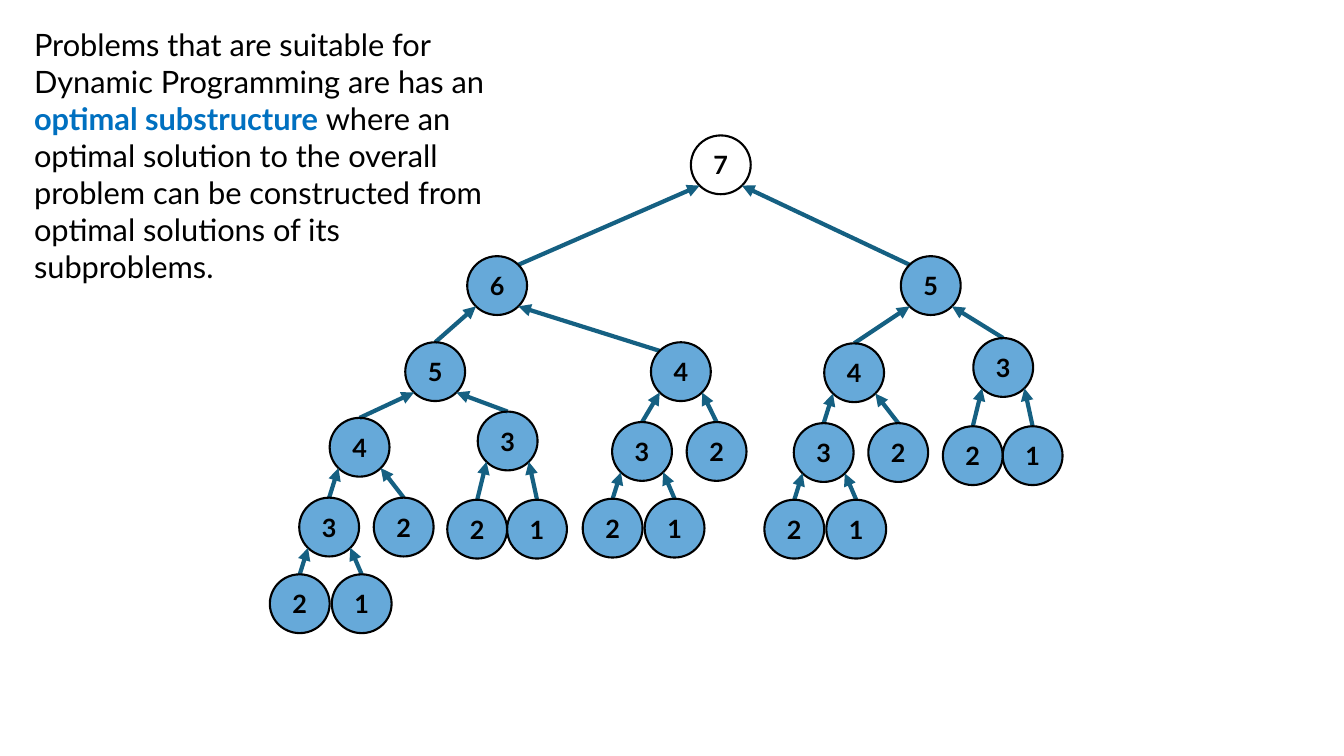
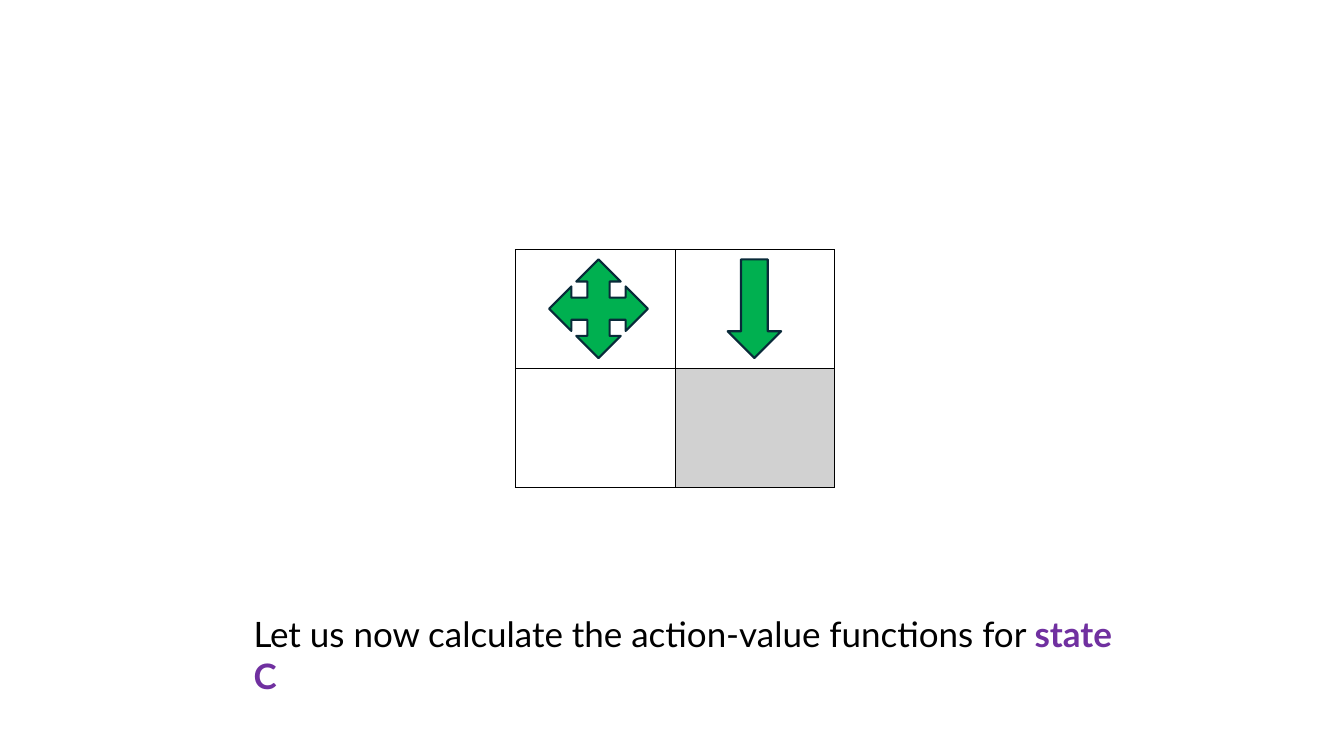
from dataclasses import dataclass
from math import sqrt

from lxml import etree
from pptx import Presentation
from pptx.dml.color import RGBColor
from pptx.enum.shapes import MSO_CONNECTOR, MSO_SHAPE
from pptx.enum.text import MSO_ANCHOR, MSO_AUTO_SIZE, PP_ALIGN
from pptx.oxml.ns import qn
from pptx.util import Emu, Pt

STRAIGHT = MSO_CONNECTOR.STRAIGHT
ELLIPSE, QUAD_ARROW, DOWN_ARROW = MSO_SHAPE.OVAL, MSO_SHAPE.QUAD_ARROW, MSO_SHAPE.DOWN_ARROW
MIDDLE = MSO_ANCHOR.MIDDLE
GROW = MSO_AUTO_SIZE.SHAPE_TO_FIT_TEXT
LEFT, CENTER = PP_ALIGN.LEFT, PP_ALIGN.CENTER

EMU_PER_PX = 9525
SLIDE_WIDTH, SLIDE_HEIGHT = 1280, 720
FONT = "Lato"
COLORS = {
    "black": "000000",
    "white": "FFFFFF",
    "blue": "0070C0",
    "purple": "7030A0",
    "edge": "156082",
    "green": "00B050",
    "arrow_line": "092A39",
    "gray": "D1D1D1",
}

NODE_WIDTH, NODE_HEIGHT = 57, 56
NODE_OPACITY = 60
WIDE_REACH = 150


@dataclass(frozen=True)
class Node:
    """A tree node, placed relative to its parent (the root: to the slide)."""
    value: int
    dx: int
    dy: int
    children: tuple["Node", ...] = ()


@dataclass(frozen=True)
class Run:
    text: str
    color: str = "black"
    bold: bool = False


@dataclass(frozen=True)
class Arrow:
    kind: int
    x: int
    y: int
    width: int
    height: int


def three(dx: int, dy: int, left: int = -29, right: int = 28, drop: int = 84) -> Node:
    return Node(3, dx, dy, (Node(2, left, drop), Node(1, right, drop)))


def four(dx: int, dy: int, shift: int = 0) -> Node:
    """Subproblem 4; shift moves its children sideways."""
    children = (three(shift - 29, 76, -28, 31, 73), Node(2, shift + 42, 76))
    return Node(4, dx, dy, children)


LEFT_FIVE = Node(5, -59, 82, (four(-72, 72), three(69, 66)))
RIGHT_FIVE = Node(5, 200, 115, (four(-73, 83), three(69, 78)))
TREE = Node(7, 658, 129, (
    Node(6, -213, 115, (LEFT_FIVE, four(175, 82, -8))),
    RIGHT_FIVE,
))

GRID_X, GRID_Y, CELL_WIDTH, CELL_HEIGHT = 491, 238, 152, 113
ARROWS = (
    Arrow(QUAD_ARROW, 523, 247, 94, 94),
    Arrow(DOWN_ARROW, 693, 247, 51, 94),
)


def px(length: float) -> Emu:
    return Emu(round(length * EMU_PER_PX))


def rgb(name: str) -> RGBColor:
    return RGBColor.from_string(COLORS[name])


def write_text(text_frame, runs: tuple[Run, ...], *, size: int, align=LEFT) -> None:
    paragraph = text_frame.paragraphs[0]
    paragraph.alignment = align
    for item in runs:
        run = paragraph.add_run()
        run.text = item.text
        run.font.name = FONT
        run.font.size = Pt(size)
        run.font.bold = item.bold
        run.font.color.rgb = rgb(item.color)


def add_text(slide, runs: tuple[Run, ...], *, x: int, y: int, width: int,
             height: int, size: int) -> None:
    box = slide.shapes.add_textbox(px(x), px(y), px(width), px(height))
    box.text_frame.word_wrap = True
    box.text_frame.auto_size = GROW
    write_text(box.text_frame, runs, size=size)


def add_outlined_shape(slide, kind, x: int, y: int, width: int, height: int, *,
                       fill: str, line: str):
    shape = slide.shapes.add_shape(kind, px(x), px(y), px(width), px(height))
    shape.shadow.inherit = False
    shape.fill.solid()
    shape.fill.fore_color.rgb = rgb(fill)
    shape.line.color.rgb = rgb(line)
    shape.line.width = Pt(1.5)
    return shape


def set_opacity(shape, percent: int) -> None:
    color = shape.fill._xPr.find(qn("a:solidFill"))[0]
    etree.SubElement(color, qn("a:alpha"), val=str(percent * 1000))


def add_circle(slide, node: Node, x: int, y: int, *, solved: bool) -> None:
    circle = add_outlined_shape(slide, ELLIPSE, x, y, NODE_WIDTH, NODE_HEIGHT,
                                fill="blue" if solved else "white", line="black")
    if solved:
        set_opacity(circle, NODE_OPACITY)
    circle.text_frame.vertical_anchor = MIDDLE
    write_text(circle.text_frame, (Run(str(node.value), bold=True),), size=18, align=CENTER)


def rim_point(x: int, y: int, side: int, down: int) -> tuple[float, float]:
    """Point on a circle's rim: side and down are -1, 0 or 1, two of them a diagonal."""
    reach = 1 / sqrt(abs(side) + abs(down))
    return (x + NODE_WIDTH / 2 * (1 + side * reach),
            y + NODE_HEIGHT / 2 * (1 + down * reach))


def add_edge(slide, start: tuple[float, float], end: tuple[float, float]) -> None:
    edge = slide.shapes.add_connector(STRAIGHT, *map(px, start + end))
    edge.line.color.rgb = rgb("edge")
    edge.line.width = Pt(3)
    line = edge.line._get_or_add_ln()
    etree.SubElement(line, qn("a:tailEnd"), type="triangle")
    etree.SubElement(edge._element.spPr, qn("a:effectLst"))


def add_tree(slide, node: Node, origin_x: int = 0, origin_y: int = 0, *,
             solved: bool = False) -> None:
    x, y = origin_x + node.dx, origin_y + node.dy
    add_circle(slide, node, x, y, solved=solved)
    for child in node.children:
        side = 1 if child.dx > 0 else -1
        start_side = -side if abs(child.dx) > WIDE_REACH else 0
        start = rim_point(x + child.dx, y + child.dy, start_side, -1)
        add_edge(slide, start, rim_point(x, y, side, 1))
        add_tree(slide, child, x, y, solved=True)


def set_borders(cell) -> None:
    properties = cell._tc.get_or_add_tcPr()
    for side in ("lnL", "lnR", "lnT", "lnB"):
        border = etree.SubElement(properties, qn(f"a:{side}"), w=str(Pt(1)))
        fill = etree.SubElement(border, qn("a:solidFill"))
        etree.SubElement(fill, qn("a:srgbClr"), val=COLORS["black"])


def add_state_grid(slide) -> None:
    frame = slide.shapes.add_table(2, 2, px(GRID_X), px(GRID_Y),
                                   px(2 * CELL_WIDTH), px(2 * CELL_HEIGHT))
    table = frame.table
    table.first_row = table.horz_banding = False
    for column in table.columns:
        column.width = px(CELL_WIDTH)
    for row in table.rows:
        row.height = px(CELL_HEIGHT)
    for cell in table.iter_cells():
        set_borders(cell)
        cell.fill.background()
    goal = table.cell(1, 1)
    goal.fill.solid()
    goal.fill.fore_color.rgb = rgb("gray")


def build_substructure_slide(slide) -> None:
    add_tree(slide, TREE)
    add_text(slide, (
        Run("Problems that are suitable for Dynamic Programming are has an "),
        Run("optimal substructure ", "blue", True),
        Run("where an optimal solution to the overall problem can be constructed "
            "from optimal solutions of its subproblems."),
    ), x=23, y=20, width=481, height=258, size=22)


def build_state_slide(slide) -> None:
    add_state_grid(slide)
    for arrow in ARROWS:
        add_outlined_shape(slide, arrow.kind, arrow.x, arrow.y, arrow.width, arrow.height,
                           fill="green", line="arrow_line")
    add_text(slide, (
        Run("Let us now calculate the action-value functions for "),
        Run("state C", "purple", True),
    ), x=232, y=579, width=861, height=50, size=25)


def main() -> None:
    presentation = Presentation()
    presentation.slide_width = px(SLIDE_WIDTH)
    presentation.slide_height = px(SLIDE_HEIGHT)
    blank = presentation.slide_layouts[6]
    for build in (build_substructure_slide, build_state_slide):
        build(presentation.slides.add_slide(blank))
    presentation.save("out.pptx")


if __name__ == "__main__":
    main()
